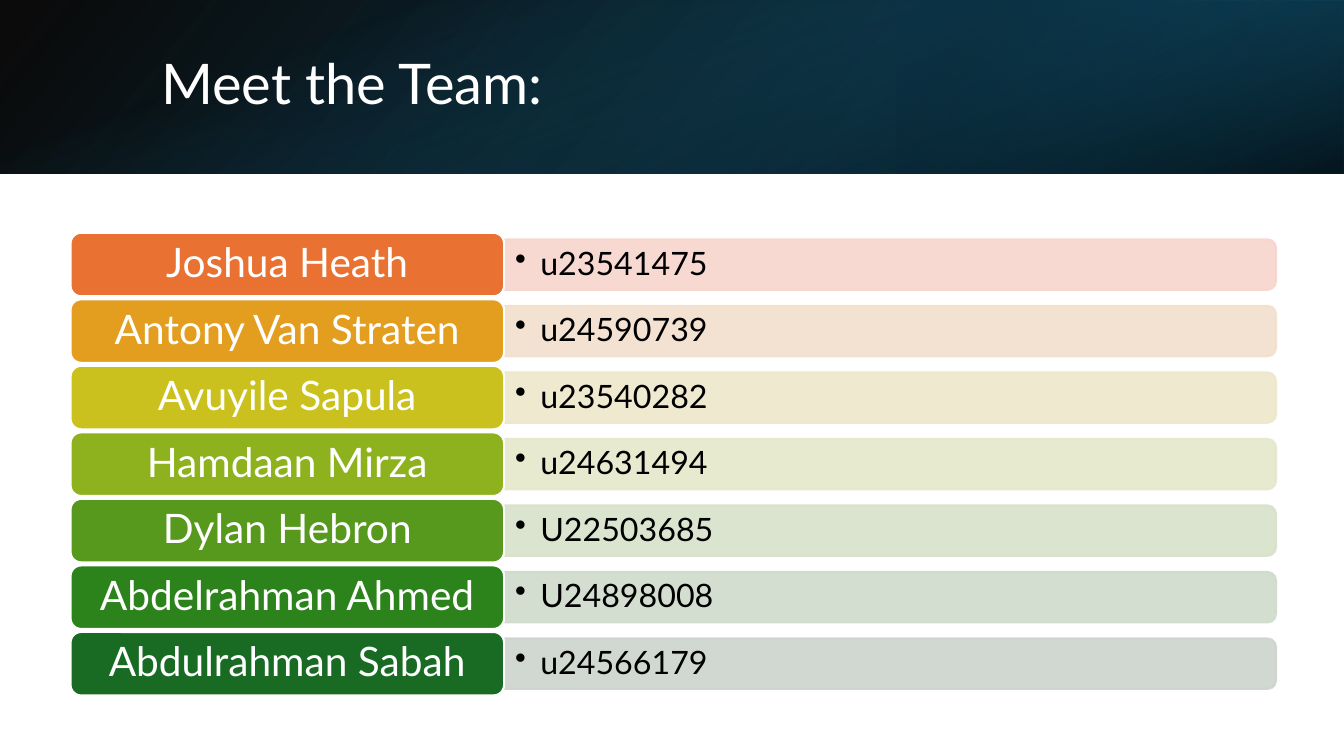
import pptx
import pptx.dml.color
import pptx.enum.shapes
import pptx.enum.text
import pptx.oxml.ns
import pptx.util
from lxml import etree

RGBColor = pptx.dml.color.RGBColor
Inches = pptx.util.Inches
Pt = pptx.util.Pt
MSO_SHAPE = pptx.enum.shapes.MSO_SHAPE
PP_ALIGN = pptx.enum.text.PP_ALIGN
MSO_ANCHOR = pptx.enum.text.MSO_ANCHOR
qn = pptx.oxml.ns.qn

WHITE = RGBColor(0xFF, 0xFF, 0xFF)
BLACK = RGBColor(0x00, 0x00, 0x00)
NAVY = RGBColor(0x10, 0x48, 0x62)
DEEP_TEAL = RGBColor(0x0B, 0x30, 0x41)
TEAL = RGBColor(0x15, 0x60, 0x82)

TEAM = [
    ("Joshua Heath", "u23541475", RGBColor(0xE9, 0x71, 0x32), RGBColor(0xF7, 0xD5, 0xCE)),
    ("Antony Van Straten", "u24590739", RGBColor(0xE3, 0x9D, 0x1F), RGBColor(0xF2, 0xDF, 0xCC)),
    ("Avuyile Sapula", "u23540282", RGBColor(0xCB, 0xC1, 0x1E), RGBColor(0xEE, 0xE7, 0xCB)),
    ("Hamdaan Mirza", "u24631494", RGBColor(0x8E, 0xB2, 0x1E), RGBColor(0xE5, 0xE8, 0xCA)),
    ("Dylan Hebron", "U22503685", RGBColor(0x56, 0x99, 0x1D), RGBColor(0xD8, 0xE2, 0xCA)),
    ("Abdelrahman Ahmed", "U24898008", RGBColor(0x2C, 0x82, 0x1B), RGBColor(0xCF, 0xDB, 0xCB)),
    ("Abdulrahman Sabah", "u24566179", RGBColor(0x19, 0x6B, 0x24), RGBColor(0xCC, 0xD4, 0xCD)),
]
FIRST_ROW_TOP = 2.31
ROW_PITCH = 0.66


class TeamSlide:
    font_name = "Lato"
    line_width = Pt(1.5)

    def __init__(self, slide):
        self.slide = slide

    def add_shape(self, kind, left, top, width, height, rotation=0):
        shape = self.slide.shapes.add_shape(
            kind, Inches(left), Inches(top), Inches(width), Inches(height))
        shape.shadow.inherit = False
        shape.rotation = rotation
        return shape

    def set_opacity(self, shape, percentages):
        for color, percent in zip(shape.element.xpath("./p:spPr//a:srgbClr"), percentages):
            etree.SubElement(color, qn("a:alpha")).set("val", str(percent * 1000))

    def add_gradient(self, box, stops, angle, rotation=0, flipped=False):
        shape = self.add_shape(MSO_SHAPE.RECTANGLE, *box, rotation)
        shape.line.fill.background()
        shape.fill.gradient()
        shape.fill.gradient_angle = 360 - angle
        for stop, (position, color, _) in zip(shape.fill.gradient_stops, stops):
            stop.position = position
            stop.color.rgb = color
        self.set_opacity(shape, [opacity for _, _, opacity in stops])
        if flipped:
            shape.element.xpath("./p:spPr/a:xfrm")[0].set("flipH", "1")

    def fill_text(self, shape, text, size, color, alignment=PP_ALIGN.LEFT, bullet=False):
        frame = shape.text_frame
        frame.word_wrap = True
        frame.vertical_anchor = MSO_ANCHOR.MIDDLE
        paragraph = frame.paragraphs[0]
        paragraph.alignment = alignment
        paragraph.line_spacing = 0.9
        if bullet:
            properties = paragraph._p.get_or_add_pPr()
            properties.set("marL", str(Inches(0.25)))
            properties.set("indent", str(Inches(-0.25)))
            etree.SubElement(properties, qn("a:buChar")).set("char", "•")
        run = paragraph.add_run()
        run.text = text
        run.font.name = self.font_name
        run.font.size = Pt(size)
        run.font.color.rgb = color

    def add_text(self, text, left, top, width, height, size, color, bullet=False):
        box = self.slide.shapes.add_textbox(
            Inches(left), Inches(top), Inches(width), Inches(height))
        self.fill_text(box, text, size, color, bullet=bullet)

    def add_bar(self, top, color):
        bar = self.add_shape(
            MSO_SHAPE.ROUND_2_SAME_RECTANGLE, 8.58, top - 3.51, 0.5, 7.65, rotation=90)
        bar.fill.solid()
        bar.fill.fore_color.rgb = color
        bar.line.color.rgb = color
        bar.line.width = self.line_width
        self.set_opacity(bar, [90, 90])

    def add_name(self, name, top, color):
        label = self.add_shape(MSO_SHAPE.ROUNDED_RECTANGLE, 0.7, top, 4.3, 0.63)
        label.fill.solid()
        label.fill.fore_color.rgb = color
        label.line.color.rgb = WHITE
        label.line.width = self.line_width
        self.fill_text(label, name, 29, WHITE, PP_ALIGN.CENTER)

    def add_member(self, name, number, top, strong, pale):
        self.add_bar(top, pale)
        self.add_text(number, 5.01, top + 0.09, 7.62, 0.45, 23, BLACK, bullet=True)
        self.add_name(name, top, strong)


def main():
    presentation = pptx.Presentation()
    presentation.slide_width = Inches(13.33)
    presentation.slide_height = Inches(7.5)
    page = TeamSlide(presentation.slides.add_slide(presentation.slide_layouts[6]))

    page.add_gradient((0, 0, 13.33, 1.72),
                      [(0, BLACK, 96), (1, NAVY, 100)], 140, flipped=True)
    page.add_gradient((8.89, 0, 4.44, 1.72),
                      [(0.19, DEEP_TEAL, 68), (1, TEAL, 79)], 320, 180, flipped=True)
    page.add_gradient((5.8, -5.8, 1.72, 13.33),
                      [(0.23, TEAL, 0), (0.99, BLACK, 74)], 340, 90)
    page.add_text("Meet the Team:", 1.5, 0.38, 10.98, 0.96, 40, WHITE)

    for row, (name, number, strong, pale) in enumerate(TEAM):
        page.add_member(name, number, FIRST_ROW_TOP + row * ROW_PITCH, strong, pale)

    presentation.save("out.pptx")


if __name__ == "__main__":
    main()
